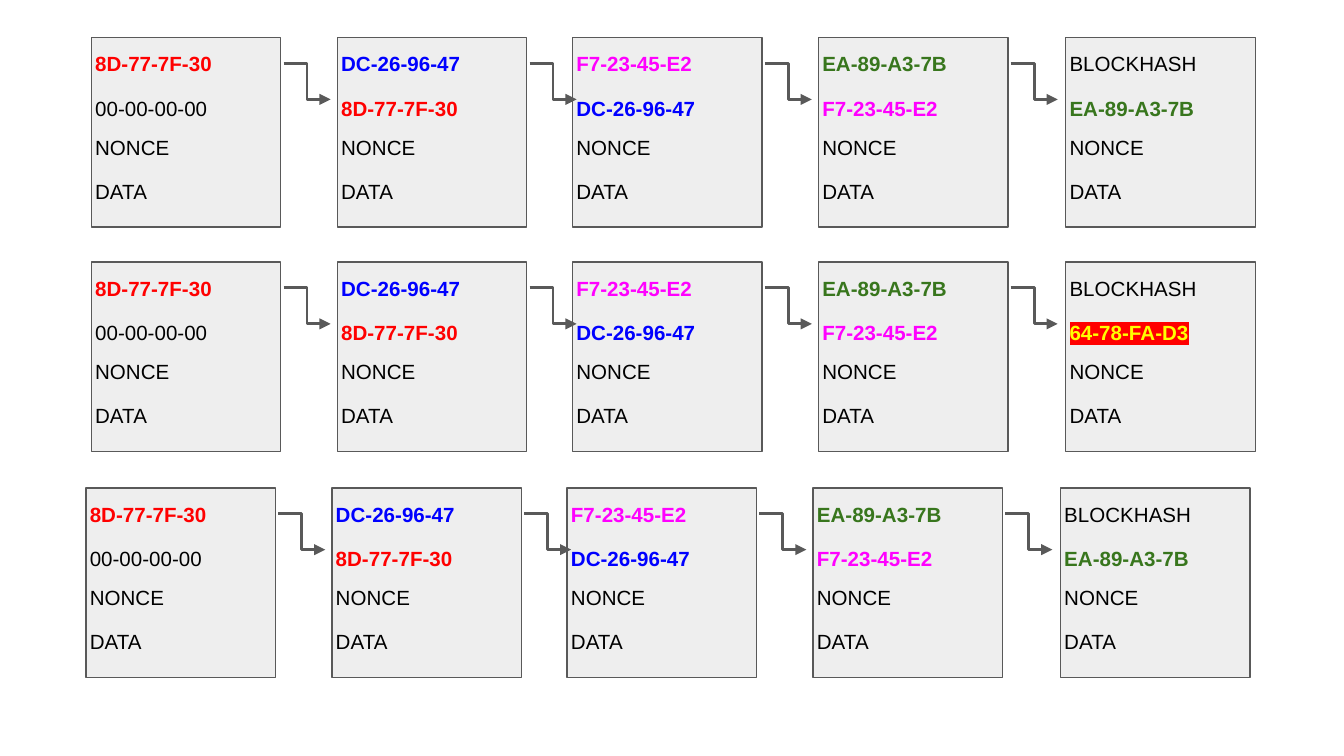
from lxml.etree import SubElement
from pptx import Presentation
from pptx.dml.color import RGBColor
from pptx.enum.shapes import MSO_CONNECTOR as Link, MSO_SHAPE as Preset
from pptx.enum.text import MSO_ANCHOR as Anchor, MSO_AUTO_SIZE as Fit, PP_ALIGN as Align
from pptx.oxml.ns import qn
from pptx.util import Inches, Pt

SLIDE_WIDTH = 10
SLIDE_HEIGHT = SLIDE_WIDTH * 9 / 16

BLACK, GREY, PALE = "000000", "595959", "EEEEEE"
HASH_COLOURS = {
    "8D-77-7F-30": "FF0000",
    "DC-26-96-47": "0000FF",
    "F7-23-45-E2": "FF00FF",
    "EA-89-A3-7B": "38761D",
    "64-78-FA-D3": "FFFF00",
}
HIGHLIGHTS = {"64-78-FA-D3": "FF0000"}

HASHES = ["00-00-00-00", "8D-77-7F-30", "DC-26-96-47", "F7-23-45-E2", "EA-89-A3-7B", "BLOCKHASH"]
VALID = list(zip(HASHES[1:], HASHES))
TAMPERED = VALID[:-1] + [("BLOCKHASH", "64-78-FA-D3")]
CHAINS = [
    (0.68, 0.28, VALID),
    (0.68, 1.95, TAMPERED),
    (0.64, 3.63, VALID),
]

COLUMNS = [0, 1.83, 3.58, 5.41, 7.25]
FIELD_ROWS = [0.01, 0.34, 0.63, 0.96]
FIELD_WIDTHS = [1.53, 1.67, 1.67, 1.67]
FIELD_INDENT, FIELD_HEIGHT, LINK_HEIGHT = -0.07, 0.39, 0.57
BLOCK_SIZE = 1.41
ARROW_START, ARROW_SPAN = (1.43, 0.19), (0.35, 0.27)

FRAME_FORMAT = {
    "word_wrap": True,
    "auto_size": Fit.SHAPE_TO_FIT_TEXT,
    "vertical_anchor": Anchor.TOP,
    **{f"margin_{side}": Inches(0.1) for side in ("left", "right", "top", "bottom")},
}


def colour(code):
    return RGBColor.from_string(code)


def apply(target, values):
    for name, value in values.items():
        setattr(target, name, value)


def inches(*lengths):
    return [Inches(length) for length in lengths]


def add_field(group, left, top, width, height, wording):
    frame = group.shapes.add_textbox(*inches(left, top, width, height)).text_frame
    apply(frame, FRAME_FORMAT)
    paragraph = frame.paragraphs[0]
    paragraph.alignment = Align.LEFT
    run = paragraph.add_run()
    run.text = wording
    apply(run.font, {"name": "Arial", "size": Pt(11), "bold": wording in HASH_COLOURS})
    run.font.color.rgb = colour(HASH_COLOURS.get(wording, BLACK))
    if wording in HIGHLIGHTS:
        properties = run._r.get_or_add_rPr()
        highlight = SubElement(properties, qn("a:highlight"))
        SubElement(highlight, qn("a:srgbClr"), val=HIGHLIGHTS[wording])
        properties.find(qn("a:solidFill")).addnext(highlight)


def add_block(slide, left, top, hashes):
    group = slide.shapes.add_group_shape()
    block = group.shapes.add_shape(Preset.RECTANGLE, *inches(left, top, BLOCK_SIZE, BLOCK_SIZE))
    block.shadow.inherit = False
    block.fill.solid()
    block.fill.fore_color.rgb = colour(PALE)
    block.line.color.rgb = colour(GREY)
    block.line.width = Pt(0.75)
    previous = hashes[1]
    for wording, row, width in zip([*hashes, "NONCE", "DATA"], FIELD_ROWS, FIELD_WIDTHS):
        linked = wording == previous and wording in HASH_COLOURS
        height = LINK_HEIGHT if linked else FIELD_HEIGHT
        add_field(group, left + FIELD_INDENT, top + row, width, height, wording)


def add_arrow(slide, left, top):
    x, y = left + ARROW_START[0], top + ARROW_START[1]
    ends = inches(x, y, x + ARROW_SPAN[0], y + ARROW_SPAN[1])
    arrow = slide.shapes.add_connector(Link.ELBOW, *ends)
    arrow.line.color.rgb = colour(GREY)
    arrow.line.width = Pt(1.5)
    properties = arrow._element.spPr
    SubElement(properties.find(qn("a:ln")), qn("a:tailEnd"), type="triangle")
    SubElement(properties, qn("a:effectLst"))


def main():
    deck = Presentation()
    apply(deck, {"slide_width": Inches(SLIDE_WIDTH), "slide_height": Inches(SLIDE_HEIGHT)})
    slide = deck.slides.add_slide(deck.slide_layouts[6])
    for left, top, blocks in CHAINS:
        for column, hashes in zip(COLUMNS, blocks):
            add_block(slide, left + column, top, hashes)
        for column in COLUMNS[:-1]:
            add_arrow(slide, left + column, top)
    deck.save("out.pptx")


if __name__ == "__main__":
    main()
